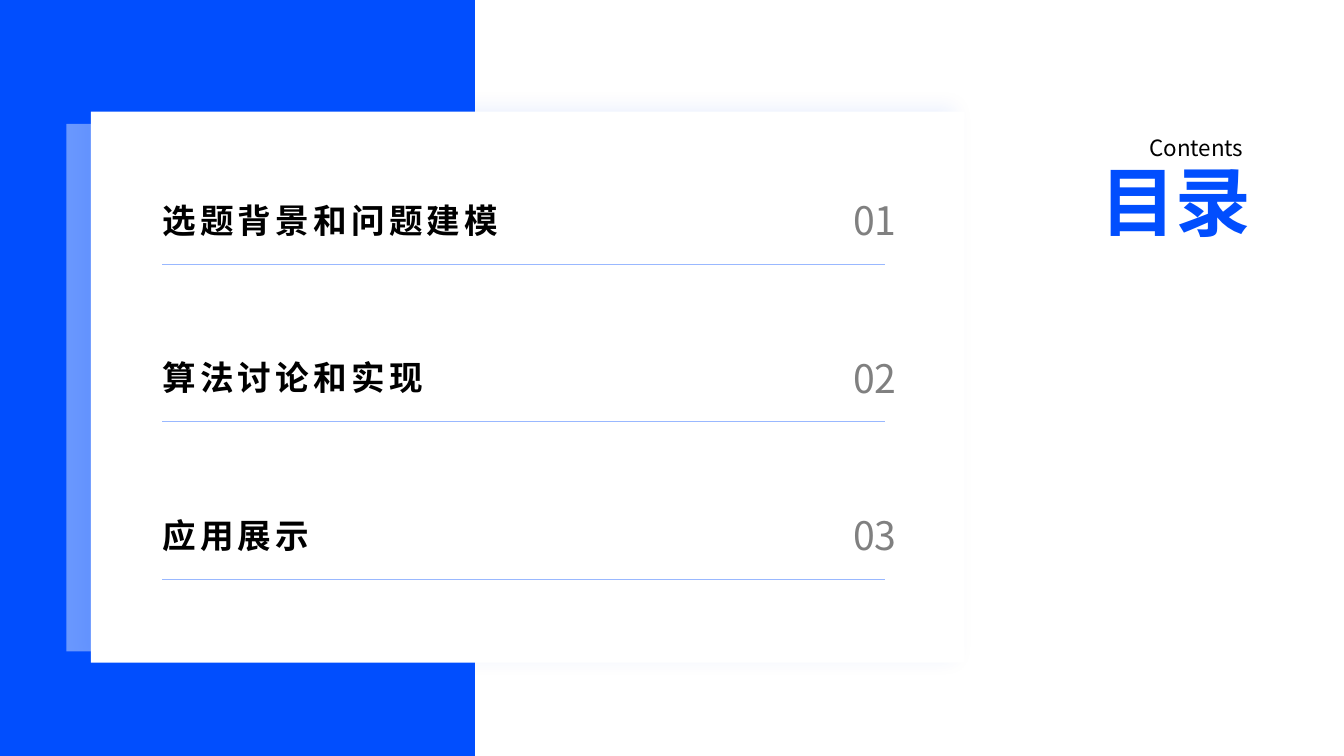
from dataclasses import dataclass

from lxml import etree
from pptx import Presentation
from pptx.dml.color import RGBColor
from pptx.enum.shapes import MSO_CONNECTOR, MSO_SHAPE
from pptx.enum.text import MSO_ANCHOR, PP_ALIGN
from pptx.oxml.ns import qn
from pptx.util import Pt

RECTANGLE = MSO_SHAPE.RECTANGLE
STRAIGHT = MSO_CONNECTOR.STRAIGHT
TOP, MIDDLE, BOTTOM = MSO_ANCHOR.TOP, MSO_ANCHOR.MIDDLE, MSO_ANCHOR.BOTTOM
LEFT, CENTER, RIGHT = PP_ALIGN.LEFT, PP_ALIGN.CENTER, PP_ALIGN.RIGHT


@dataclass(frozen=True)
class Theme:
    font: str = "Noto Sans CJK SC"
    blue: str = "014EFE"
    pale_blue: str = "CCDCFF"
    rule_blue: str = "99B8FF"
    white: str = "FFFFFF"
    black: str = "000000"
    gray: str = "808080"
    title_size: float = 54
    number_size: float = 28
    chapter_size: float = 24
    caption_size: float = 16


THEME = Theme()
CHAPTERS = ["选题背景和问题建模", "算法讨论和实现", "应用展示"]
CHAPTER_LEFT = 116
CHAPTER_TOP = 130.3
CHAPTER_PITCH = 112.7
CHAPTER_HEIGHT = 53.3
RULE_OFFSET = 58.3


def add_panel(slide, box, color, opacity=100):
    panel = slide.shapes.add_shape(RECTANGLE, *map(Pt, box))
    panel.shadow.inherit = False
    panel.fill.solid()
    panel.fill.fore_color.rgb = RGBColor.from_string(color)
    panel.line.fill.background()
    if opacity < 100:
        tint = panel.fill._xPr.find(".//" + qn("a:srgbClr"))
        etree.SubElement(tint, qn("a:alpha"), val=str(opacity * 1000))
    return panel


def add_soft_shadow(panel, color, opacity, blur, distance, angle):
    effects = panel._element.spPr.find(qn("a:effectLst"))
    shadow = etree.SubElement(
        effects, qn("a:outerShdw"), blurRad=str(Pt(blur)), dist=str(Pt(distance)),
        dir=str(angle * 60000), algn="ctr", rotWithShape="0")
    tint = etree.SubElement(shadow, qn("a:srgbClr"), val=color)
    etree.SubElement(tint, qn("a:alpha"), val=str(opacity * 1000))


def add_label(slide, box, text, size, color, align=LEFT, anchor=MIDDLE,
              bold=False, margins=(0, 0, 0, 0), tracking=0, line_spacing=1.0):
    label = slide.shapes.add_textbox(*map(Pt, box))
    frame = label.text_frame
    frame.text = text
    frame.word_wrap = True
    frame.vertical_anchor = anchor
    frame.margin_left, frame.margin_top, frame.margin_right, frame.margin_bottom = map(Pt, margins)
    paragraph = frame.paragraphs[0]
    paragraph.alignment = align
    paragraph.line_spacing = line_spacing
    font = paragraph.runs[0].font
    font.size = Pt(size)
    font.bold = bold
    font.name = THEME.font
    font.color.rgb = RGBColor.from_string(color)
    # East Asian typeface and letter spacing
    etree.SubElement(font._element, qn("a:ea"), typeface=THEME.font)
    if tracking:
        font._element.set("spc", str(tracking * 100))


def add_rule(slide, left, right, top):
    rule = slide.shapes.add_connector(STRAIGHT, Pt(left), Pt(top), Pt(right), Pt(top))
    rule.line.color.rgb = RGBColor.from_string(THEME.rule_blue)
    rule.line.width = Pt(0.5)
    etree.SubElement(rule._element.spPr, qn("a:effectLst"))


def add_chapter(slide, index, name):
    top = CHAPTER_TOP + index * CHAPTER_PITCH
    add_label(slide, (597, top, 56, CHAPTER_HEIGHT), f"{index + 1:02d}",
              THEME.number_size, THEME.gray, CENTER, margins=(7.2, 3.6, 7.2, 3.6))
    add_label(slide, (CHAPTER_LEFT, top, 455, CHAPTER_HEIGHT), name,
              THEME.chapter_size, THEME.black, bold=True, tracking=3)
    add_rule(slide, CHAPTER_LEFT, 632, top + RULE_OFFSET)


def main():
    deck = Presentation()
    deck.slide_width, deck.slide_height = Pt(960), Pt(540)
    slide = deck.slides.add_slide(deck.slide_layouts[6])

    # Backdrop and card
    add_panel(slide, (0, 0, 339.3, 540), THEME.blue)
    add_panel(slide, (47.5, 88.5, 571.7, 376.8), THEME.pale_blue, opacity=52)
    card = add_panel(slide, (65, 79.7, 624, 393.6), THEME.white)
    add_soft_shadow(card, THEME.blue, opacity=8, blur=14, distance=7, angle=200)

    # Heading
    add_label(slide, (689, 80, 205, 35.3), "Contents", THEME.caption_size,
              THEME.black, RIGHT, BOTTOM, margins=(0, 0, 5.8, 0))
    add_label(slide, (689, 118, 205, 79.2), "目录", THEME.title_size,
              THEME.blue, RIGHT, TOP, bold=True, line_spacing=0.9)

    # Chapter list
    for index, name in enumerate(CHAPTERS):
        add_chapter(slide, index, name)

    deck.save("out.pptx")


if __name__ == "__main__":
    main()
